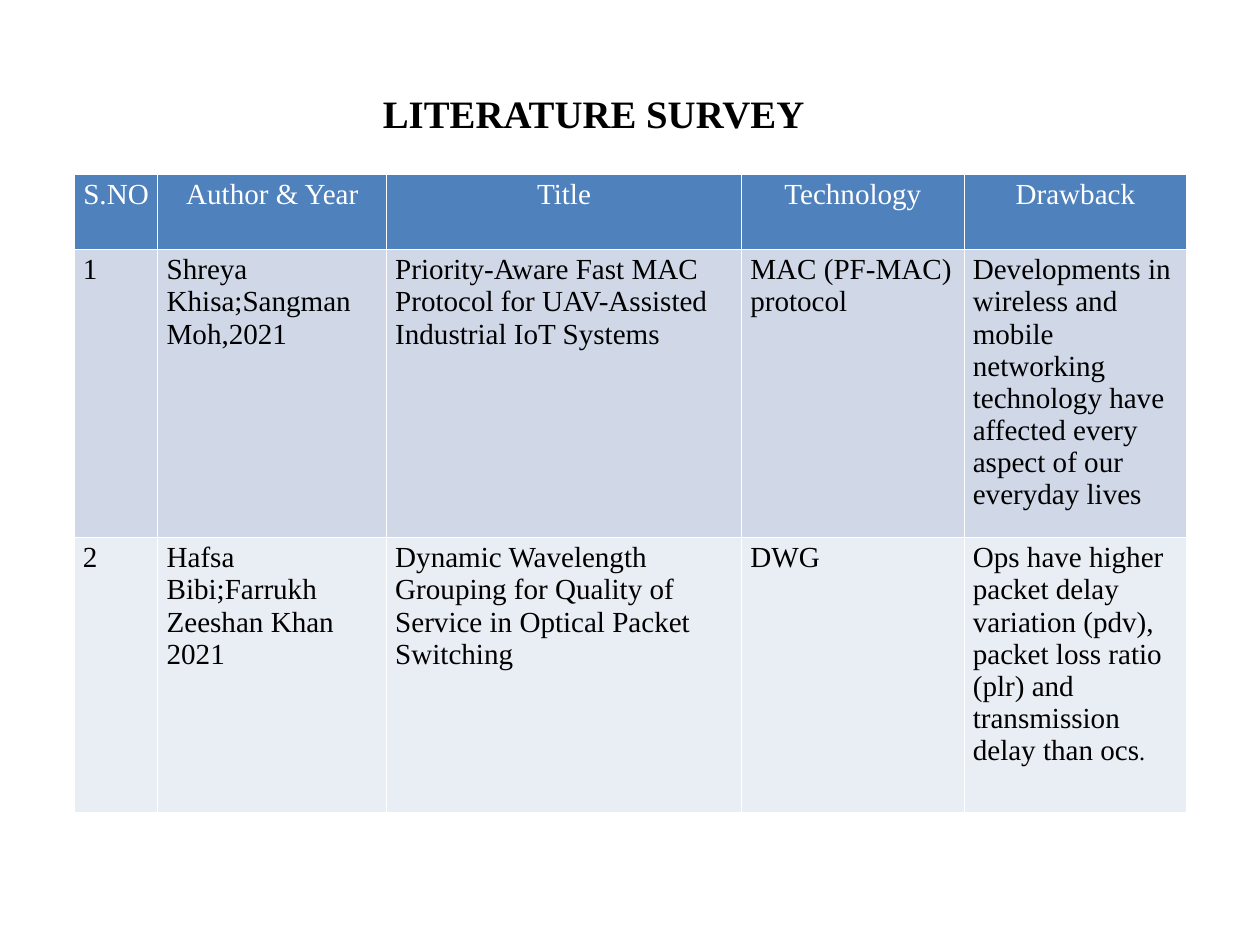
from pptx import Presentation
from pptx.dml.color import RGBColor
from pptx.enum.text import MSO_ANCHOR, PP_ALIGN
from pptx.oxml import parse_xml
from pptx.oxml.ns import nsdecls
from pptx.util import Inches, Pt

FONT = "Times New Roman"
WHITE, BLACK, BLUE = "FFFFFF", "000000", "4F81BD"
BANDS = ["D0D8E8", "E9EDF4"]
COLUMN_WIDTHS = [0.96, 2.62, 4.07, 2.55, 2.55]
ROW_HEIGHTS = [0.86, 3.15, 3.15]

HEADERS = ["S.NO", "Author & Year", "Title", "Technology", "Drawback"]
# A cell is one string, or a list of paragraphs; a paragraph may be a list of (text, size) runs
PAPERS = [
    ["1", "Shreya Khisa;Sangman Moh,2021",
     "Priority-Aware Fast MAC Protocol for UAV-Assisted Industrial IoT Systems",
     "MAC (PF-MAC) protocol",
     "Developments in wireless and mobile networking technology have affected "
     "every aspect of our everyday lives"],
    ["2", ["Hafsa Bibi;Farrukh Zeeshan Khan", "2021"],
     "Dynamic Wavelength Grouping for Quality of Service in Optical Packet Switching",
     "DWG",
     [[("Ops have higher packet delay variation (pdv), packet loss ratio (plr) "
        "and transmission delay than ocs", 24), (".", 20)]]],
]


def rgb(color):
    return RGBColor.from_string(color)


def write(tf, text, size=24, color=BLACK, bold=False, align=PP_ALIGN.LEFT):
    tf.word_wrap = True
    paragraphs = [text] if isinstance(text, str) else text
    for i, runs in enumerate(paragraphs):
        p = tf.add_paragraph() if i else tf.paragraphs[0]
        p.alignment = align
        for run_text, run_size in [(runs, size)] if isinstance(runs, str) else runs:
            r = p.add_run()
            r.text = run_text
            r.font.name = FONT
            r.font.size = Pt(run_size)
            r.font.bold = bold
            r.font.color.rgb = rgb(color)


def set_borders(cell, color=WHITE, width=1):
    tcPr = cell._tc.get_or_add_tcPr()
    # Border lines come before the fill in the cell properties
    for i, side in enumerate("LRTB"):
        tcPr.insert(i, parse_xml(
            f'<a:ln{side} {nsdecls("a")} w="{Pt(width)}"><a:solidFill>'
            f'<a:srgbClr val="{color}"/></a:solidFill></a:ln{side}>'))


def add_title(s, left, top, width, height):
    sp = s.shapes.add_textbox(Inches(left), Inches(top), Inches(width), Inches(height))
    sp.text_frame.vertical_anchor = MSO_ANCHOR.MIDDLE
    write(sp.text_frame, "LITERATURE SURVEY", size=32, bold=True)


def add_survey_table(s, left, top, width, height):
    rows = [HEADERS] + PAPERS
    table = s.shapes.add_table(len(rows), len(HEADERS), Inches(left), Inches(top),
                               Inches(width), Inches(height)).table
    # Column and row shares of the box
    for column, share in zip(table.columns, COLUMN_WIDTHS):
        column.width = Inches(width * share / sum(COLUMN_WIDTHS))
    for row, share in zip(table.rows, ROW_HEIGHTS):
        row.height = Inches(height * share / sum(ROW_HEIGHTS))
    # Cells: blue header, then alternating bands
    for i, texts in enumerate(rows):
        fill = BANDS[(i - 1) % 2] if i else BLUE
        style = {} if i else {"color": WHITE, "align": PP_ALIGN.CENTER}
        for j, text in enumerate(texts):
            cell = table.cell(i, j)
            cell.fill.solid()
            cell.fill.fore_color.rgb = rgb(fill)
            set_borders(cell)
            write(cell.text_frame, text, **style)


prs = Presentation()
prs.slide_width, prs.slide_height = Inches(14.44), Inches(10.83)
s = prs.slides.add_slide(prs.slide_layouts[6])
add_title(s, 4.29, 0.83, 9.3, 0.92)
add_survey_table(s, 0.85, 2, sum(COLUMN_WIDTHS), sum(ROW_HEIGHTS))
prs.save("out.pptx")
